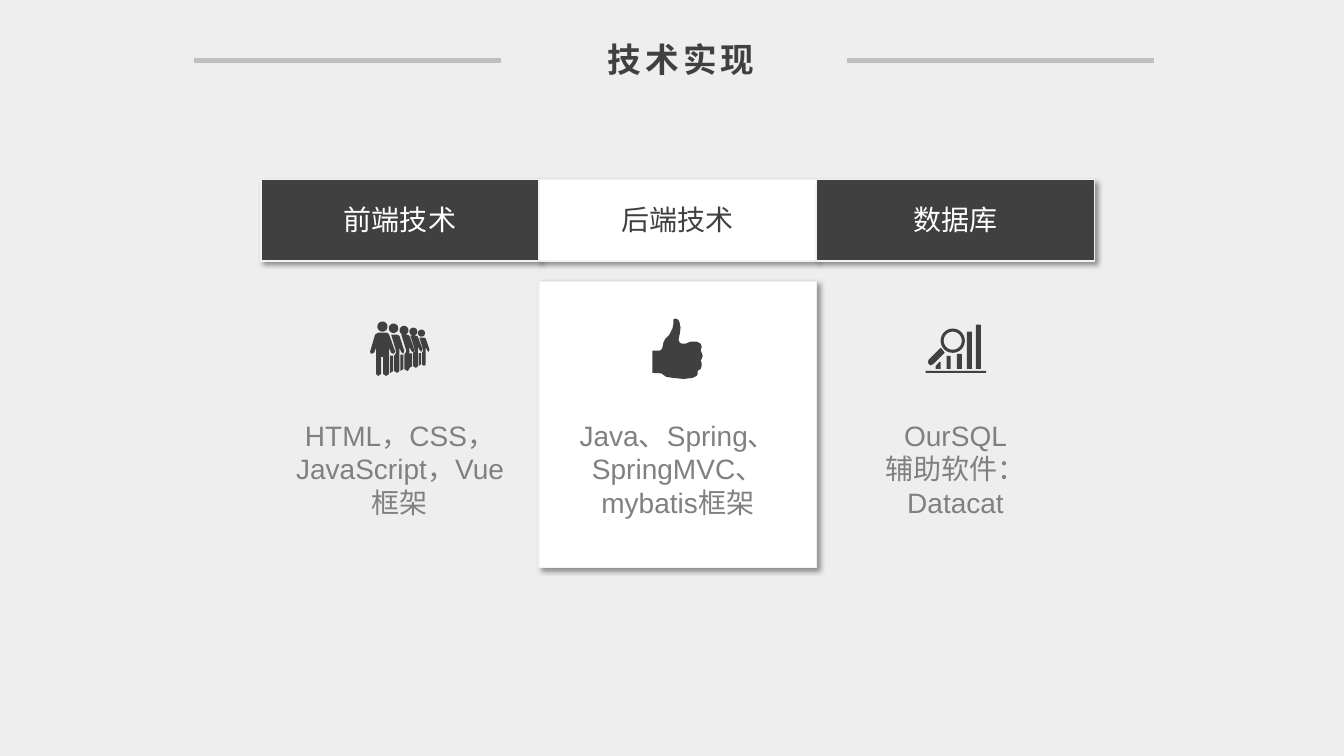
import math
from dataclasses import dataclass

from lxml import etree
from pptx import Presentation
from pptx import util as u
from pptx.dml.color import RGBColor
from pptx.enum import shapes, text
from pptx.oxml import ns

# Content
HEADING = "技术实现"
TOPICS = [
    dict(title="前端技术", lines=["HTML，CSS，JavaScript，Vue框架"], icon="people", icon_at=(3.67, 3.19)),
    dict(title="后端技术", lines=["Java、Spring、SpringMVC、mybatis框架"], icon="thumb",
         icon_at=(6.47, 3.16), active=True),
    dict(title="数据库", lines=["OurSQL", "辅助软件：Datacat"], icon="chart", icon_at=(9.18, 3.22)),
]


@dataclass(frozen=True)
class Theme:
    page: str = "EEEEEE"
    dark: str = "404040"
    white: str = "FFFFFF"
    edge: str = "F2F2F2"
    rule: str = "BFBFBF"
    muted: str = "808080"
    latin: str = "Arial"
    cjk: str = "Noto Sans CJK SC"
    heading_size: int = 24
    text_size: int = 20


THEME = Theme()

# Grid, in inches
SLIDE_W, SLIDE_H = 13.33, 7.5
GRID_LEFT, COLUMN_W = 2.59, 2.755
BAR_TOP, BAR_H = 1.78, 0.81
TITLE_TOP, TITLE_H = 1.96, 0.44
CARD_TOP, CARD_H = 2.79, 2.84
BODY_TOP, BODY_H, BODY_PAD = 4.1, 1.11, 0.15
RULE_Y, RULE_W, RULE_LEFTS = 0.6, 3.05, (1.92, 8.4)


# Icon outlines, in hundredths of an inch from the icon's corner
def circle(x, y, radius, steps=32):
    turns = [2 * math.pi * i / steps for i in range(steps)]
    return [(x + radius * math.cos(t), y + radius * math.sin(t)) for t in turns]


def bar(left, top, right, bottom):
    return [(left, top), (right, top), (right, bottom), (left, bottom)]


def people():
    leader = [(8, 11), (17, 11), (19, 13), (25, 30), (23, 32), (21, 31), (19, 26), (19, 52),
              (16, 54), (13, 52), (13, 35), (11, 35), (11, 52), (8, 54), (6, 52), (6, 26),
              (4, 31), (1, 32), (0, 30), (5, 13)]
    follower = [(0, 0), (.46, 0), (.62, .03), (1, .42), (.92, .5), (.77, .45), (.62, .34),
                (.62, .95), (.46, 1), (.23, .95), (.23, .55), (.36, .48), (.36, .42)]
    far_leg = [(-.08, .55), (.15, .55), (.15, .95), (-.08, 1)]
    places = [(21, 13, 13, 38), (31, 13, 13, 36), (40, 14, 12, 32), (49, 16, 10, 28)]
    heads = [(12.3, 5, 5), (23.3, 6.7, 4.7), (33.7, 8.7, 4.4), (43, 10, 3.9), (51, 11.5, 3.5)]
    bodies = [[(x + w * px, y + h * py) for px, py in part]
              for x, y, w, h in places for part in (follower, far_leg)]
    return [leader] + bodies + [circle(*head) for head in heads]


def thumb():
    return [[(50, 37), (49, 40), (48, 42), (49, 44), (49, 47), (48, 50), (45, 52), (45, 55),
             (44, 57), (40, 59), (31, 60), (21, 59), (14, 58), (11, 56), (9, 54.5), (0, 54),
             (0, 32), (7, 32), (9, 31), (10, 29), (11, 24), (13, 20), (17, 16), (20, 10),
             (21, 5), (21, 1), (23, 0), (26, 1.5), (27, 4), (28, 9), (27.5, 14), (26, 21),
             (27, 23.5), (29, 25), (33, 25), (38, 23), (44, 23), (48, 25), (49, 28),
             (48, 32), (49, 34)]]


def chart():
    handle = [(15, 23), (17, 25), (19, 28), (17, 30), (8, 39), (5, 40.5), (3, 39),
              (2.5, 37), (3, 35), (12, 26)]
    bars = [bar(0, 46, 60, 48), bar(21, 31, 25, 44), bar(31, 29, 36, 44),
            bar(41, 7, 46, 44), bar(50, 0, 55, 44)]
    short_bar = [(14, 37), (15, 37), (15, 44), (10, 44), (10, 41)]
    return bars + [short_bar, handle, circle(27, 16, 12), circle(27, 16, 9)]


ICONS = {"people": people, "thumb": thumb, "chart": chart}


# Drawing helpers
def rgb(value):
    return RGBColor.from_string(value)


def inches(*lengths):
    return [u.Inches(length) for length in lengths]


def add_text(parent, lines, box, *, color, size=THEME.text_size, font=THEME.latin,
             bold=False, spacing=0):
    frame = parent.add_textbox(*inches(*box)).text_frame
    frame.word_wrap = True
    frame.auto_size = text.MSO_AUTO_SIZE.SHAPE_TO_FIT_TEXT
    for i, line in enumerate(lines):
        paragraph = frame.add_paragraph() if i else frame.paragraphs[0]
        paragraph.alignment = text.PP_ALIGN.CENTER
        run = paragraph.add_run()
        run.text = line
        run.font.size, run.font.bold = u.Pt(size), bold
        run.font.color.rgb = rgb(color)
        run.font.name = font
        properties = run.font._element
        etree.SubElement(properties, ns.qn("a:ea"), typeface=THEME.cjk)
        if spacing:
            properties.set("spc", str(spacing * 100))


def add_panel(parent, box, fill):
    panel = parent.add_shape(shapes.MSO_SHAPE.RECTANGLE, *inches(*box))
    panel.fill.solid()
    panel.fill.fore_color.rgb = rgb(fill)
    panel.line.color.rgb = rgb(THEME.edge)
    panel.line.width = u.Pt(1)
    effects = etree.SubElement(panel._element.spPr, ns.qn("a:effectLst"))
    shadow = etree.SubElement(effects, ns.qn("a:outerShdw"), blurRad=str(u.Pt(4)),
                              dist=str(u.Pt(3)), dir="2700000", algn="tl", rotWithShape="0")
    black = etree.SubElement(shadow, ns.qn("a:srgbClr"), val="000000")
    etree.SubElement(black, ns.qn("a:alpha"), val="40000")


def add_icon(parent, contours, left, top):
    # One drawing unit is a thousandth of an inch
    placed = [[(left * 1000 + x * 10, top * 1000 + y * 10) for x, y in contour]
              for contour in contours]
    outline = parent.build_freeform(*placed[0][0], scale=914.4)
    for i, contour in enumerate(placed):
        if i:
            outline.move_to(*contour[0])
        outline.add_line_segments(contour[1:], close=True)
    icon = outline.convert_to_shape()
    icon.fill.solid()
    icon.fill.fore_color.rgb = rgb(THEME.dark)
    icon.line.fill.background()
    icon.shadow.inherit = False


def add_rule(parent, left):
    rule = parent.add_connector(shapes.MSO_CONNECTOR.STRAIGHT,
                                *inches(left, RULE_Y, left + RULE_W, RULE_Y))
    rule.line.color.rgb = rgb(THEME.rule)
    rule.line.width = u.Pt(3)
    etree.SubElement(rule._element.spPr, ns.qn("a:effectLst"))


def main():
    deck = Presentation()
    deck.slide_width, deck.slide_height = inches(SLIDE_W, SLIDE_H)
    slide = deck.slides.add_slide(deck.slide_layouts[6])
    slide.background.fill.solid()
    slide.background.fill.fore_color.rgb = rgb(THEME.page)
    canvas = slide.shapes
    lefts = [GRID_LEFT + COLUMN_W * i for i in range(len(TOPICS))]

    # Title bar
    for topic, left in zip(TOPICS, lefts):
        add_panel(canvas, (left, BAR_TOP, COLUMN_W, BAR_H),
                  THEME.white if topic.get("active") else THEME.dark)
    for topic, left in zip(TOPICS, lefts):
        add_text(canvas, [topic["title"]], (left, TITLE_TOP, COLUMN_W, TITLE_H), font=THEME.cjk,
                 color=THEME.dark if topic.get("active") else THEME.white)

    # Topic columns
    for topic, left in zip(TOPICS, lefts):
        column = canvas.add_group_shape().shapes
        if topic.get("active"):
            add_panel(column, (left, CARD_TOP, COLUMN_W, CARD_H), THEME.white)
        add_text(column, topic["lines"],
                 (left + BODY_PAD, BODY_TOP, COLUMN_W - 2 * BODY_PAD, BODY_H), color=THEME.muted)
        add_icon(column, ICONS[topic["icon"]](), *topic["icon_at"])

    # Heading between two rules
    for left in RULE_LEFTS:
        add_rule(canvas, left)
    add_text(canvas, [HEADING], (5.02, 0.34, 3.47, 0.5), color=THEME.dark,
             size=THEME.heading_size, font=THEME.cjk, bold=True, spacing=3)

    deck.save("out.pptx")


if __name__ == "__main__":
    main()
